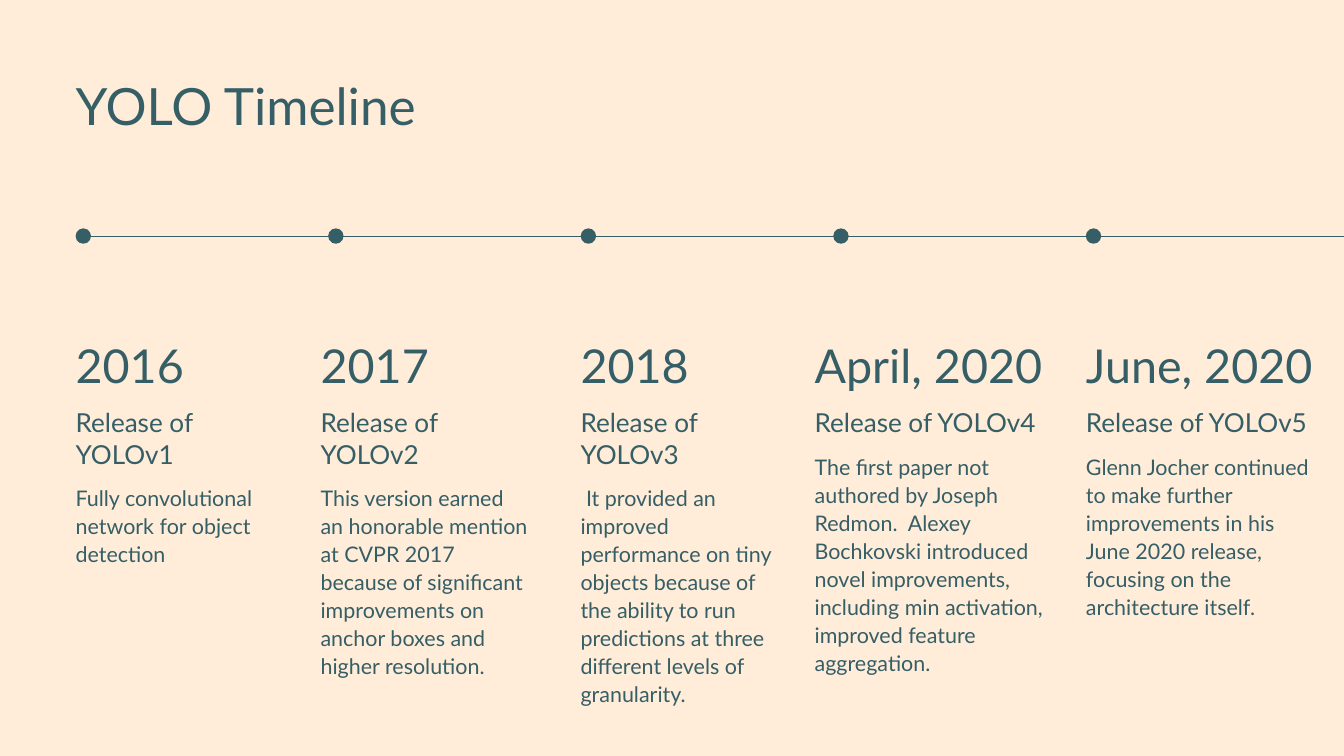
from lxml.etree import SubElement
from pptx import Presentation
from pptx.dml.color import RGBColor
from pptx.enum.shapes import MSO_CONNECTOR, MSO_SHAPE
from pptx.enum.text import MSO_ANCHOR, MSO_AUTO_SIZE, PP_ALIGN
from pptx.oxml.ns import qn
from pptx.util import Pt

INK, PAPER, FONT = "355E66", "FFEDD9", "Lato"
WIDE, HIGH = 1440, 810

# left, width, date, heading, lines in heading, body
EVENTS = [
    (81, 196, "2016", "Release of YOLOv1", 2,
     "Fully convolutional network for object detection"),
    (343.5, 222, "2017", "Release of YOLOv2", 2,
     "This version earned an honorable mention at CVPR 2017 because of "
     "significant improvements on anchor boxes and higher resolution."),
    (622, 214.5, "2018", "Release of YOLOv3", 2,
     " It provided an improved performance on tiny objects because of the "
     "ability to run predictions at three different levels of granularity."),
    (872.8, 254, "April, 2020", "Release of YOLOv4", 1,
     "The first paper not authored by Joseph Redmon.  Alexey Bochkovski "
     "introduced novel improvements, including min activation, improved "
     "feature aggregation."),
    (1163.5, 248, "June, 2020", "Release of YOLOv5", 1,
     "Glenn Jocher continued to make further improvements in his June 2020 "
     "release, focusing on the architecture itself."),
]


def paint(color, code):
    color.rgb = RGBColor.from_string(code)


def fill(part, code):
    part.fill.solid()
    paint(part.fill.fore_color, code)


def write(shape, text, size, lead):
    frame = shape.text_frame
    frame.text = text
    frame.word_wrap = True
    frame.auto_size = MSO_AUTO_SIZE.SHAPE_TO_FIT_TEXT
    frame.vertical_anchor = MSO_ANCHOR.TOP
    frame.margin_left = frame.margin_right = 0
    frame.margin_top = frame.margin_bottom = 0
    para = frame.paragraphs[0]
    para.alignment = PP_ALIGN.LEFT
    para.line_spacing = Pt(lead)
    font = para.runs[0].font
    font.name, font.size = FONT, Pt(size)
    paint(font.color, INK)


def add_title(slide, left, top, width, height):
    title = slide.shapes.title
    title.left, title.top = Pt(left), Pt(top)
    title.width, title.height = Pt(width), Pt(height)
    write(title, "YOLO Timeline", 55, 60.5)


def add_track(slide, left, top, width, size, step, count):
    # Line from the first dot to the slide edge
    mid = top + size / 2
    line = slide.shapes.add_connector(
        MSO_CONNECTOR.STRAIGHT, Pt(left + size / 2), Pt(mid),
        Pt(left + width), Pt(mid))
    line.line.width = Pt(1)
    paint(line.line.color, INK)
    SubElement(line._element.spPr, qn("a:effectLst"))

    # Evenly spaced dots
    for i in range(count):
        dot = slide.shapes.add_shape(
            MSO_SHAPE.OVAL, Pt(left + i * step), Pt(top), Pt(size), Pt(size))
        dot.shadow.inherit = False
        fill(dot, INK)
        dot.line.fill.background()


def add_event(slide, left, top, width, height, event):
    date, head, rows, body = event
    drop = 80 + rows * 33 + 16  # body starts below the heading
    parts = [
        (date, 0, 62.6, 50, 65),
        (head, 80, rows * 33, 28, 33.6),
        (body, drop, height - drop, 23, 29.9),
    ]
    for text, down, tall, size, lead in parts:
        box = slide.shapes.add_textbox(
            Pt(left), Pt(top + down), Pt(width), Pt(tall))
        write(box, text, size, lead)


def main():
    deck = Presentation()
    deck.slide_width, deck.slide_height = Pt(WIDE), Pt(HIGH)
    slide = deck.slides.add_slide(deck.slide_layouts[5])
    fill(slide.background, PAPER)

    add_title(slide, 81, 85, 968, 62)
    add_track(slide, 81, 244.7, WIDE - 81, 16.5, 270.6, len(EVENTS))
    for left, width, *event in EVENTS:
        add_event(slide, left, 355.7, width, 394.5, event)

    deck.save("out.pptx")


if __name__ == "__main__":
    main()
